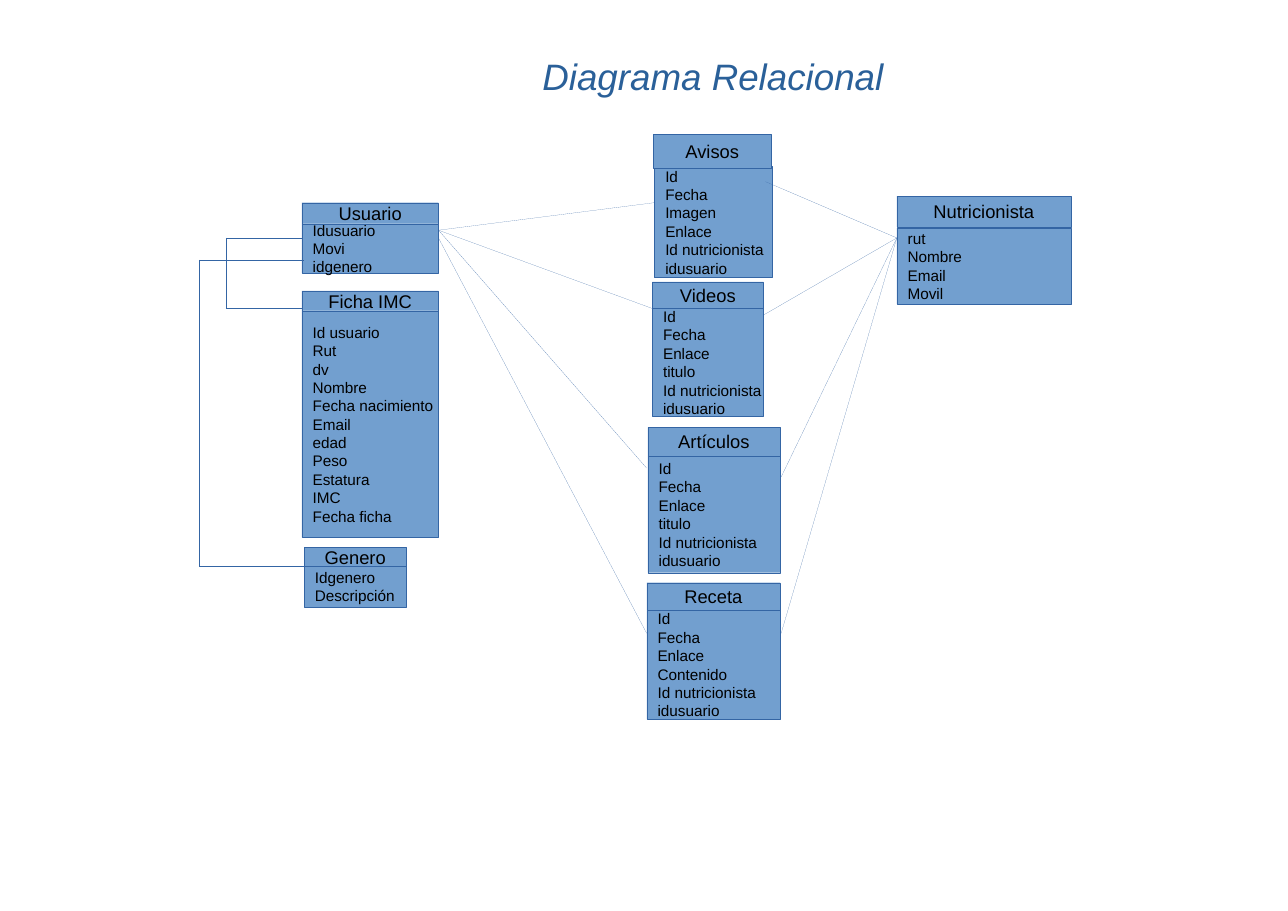
from dataclasses import dataclass
from itertools import pairwise

from lxml.etree import SubElement
from pptx import Presentation
from pptx.dml.color import RGBColor
from pptx.enum.shapes import MSO_CONNECTOR, MSO_SHAPE
from pptx.enum.text import MSO_ANCHOR, MSO_AUTO_SIZE, PP_ALIGN
from pptx.oxml.ns import qn
from pptx.util import Inches, Pt


@dataclass(frozen=True)
class Theme:
    font: str = "Arial"
    title_color: RGBColor = RGBColor(0x2A, 0x60, 0x99)
    text_color: RGBColor = RGBColor(0, 0, 0)
    fill_color: RGBColor = RGBColor(0x72, 0x9F, 0xCF)
    line_color: RGBColor = RGBColor(0x34, 0x65, 0xA4)
    line_width: Pt = Pt(0.05)
    title_size: Pt = Pt(24)
    header_size: Pt = Pt(12)
    field_size: Pt = Pt(10)


@dataclass(frozen=True)
class Entity:
    name: str
    left: float
    top: float
    width: float
    header_height: float
    body_height: float
    fields: tuple
    body_shift: tuple = (0, 0)


THEME = Theme()

ENTITIES = (
    Entity("Genero", 2.76, 4.97, 0.93, 0.17, 0.37, ("Idgenero", "Descripción")),
    Entity("Ficha IMC", 2.74, 2.64, 1.24, 0.18, 2.06,
           ("Id usuario", "Rut", "dv", "Nombre", "Fecha nacimiento", "Email",
            "edad", "Peso", "Estatura", "IMC", "Fecha ficha")),
    Entity("Nutricionista", 8.14, 1.78, 1.58, 0.28, 0.69,
           ("rut", "Nombre", "Email", "Movil"), (0, 0.01)),
    Entity("Usuario", 2.74, 1.84, 1.24, 0.19, 0.45,
           ("Idusuario", "Movi", "idgenero")),
    Entity("Avisos", 5.93, 1.22, 1.07, 0.31, 1.01,
           ("Id", "Fecha", "Imagen", "Enlace", "Id nutricionista", "idusuario"),
           (0.01, -0.02)),
    Entity("Videos", 5.92, 2.56, 1.01, 0.24, 0.98,
           ("Id", "Fecha", "Enlace", "titulo", "Id nutricionista", "idusuario")),
    Entity("Artículos", 5.88, 3.88, 1.2, 0.26, 1.06,
           ("Id", "Fecha", "Enlace", "titulo", "Id nutricionista", "idusuario")),
    Entity("Receta", 5.87, 5.29, 1.21, 0.25, 0.99,
           ("Id", "Fecha", "Enlace", "Contenido", "Id nutricionista", "idusuario")),
)

NUTRICIONISTA_POINT = (8.14, 2.16)
USUARIO_POINT = (3.98, 2.09)

RELATIONS = (
    ((2.76, 2.36), (1.81, 2.36), (1.81, 5.14), (2.76, 5.14)),
    (NUTRICIONISTA_POINT, (6.93, 2.86)),
    (NUTRICIONISTA_POINT, (6.95, 1.65)),
    (NUTRICIONISTA_POINT, (7.09, 4.33)),
    (NUTRICIONISTA_POINT, (7.09, 5.75)),
    ((2.74, 2.16), (2.05, 2.16), (2.05, 2.8), (2.74, 2.8)),
    (USUARIO_POINT, (5.94, 1.84)),
    (USUARIO_POINT, (5.92, 2.8)),
    (USUARIO_POINT, (5.87, 4.25)),
    ((3.98, 2.16), (5.87, 5.75)),
)


def write_text(shape, lines, *, size, color=THEME.text_color,
               align=PP_ALIGN.LEFT, italic=False, margins=(0.1, 0.05), wrap=False):
    frame = shape.text_frame
    frame.word_wrap = wrap
    frame.vertical_anchor = MSO_ANCHOR.MIDDLE
    frame.margin_left = frame.margin_right = Inches(margins[0])
    frame.margin_top = frame.margin_bottom = Inches(margins[1])
    frame.text = "\n".join(lines)
    for paragraph in frame.paragraphs:
        paragraph.alignment = align
        for run in paragraph.runs:
            run.font.name = THEME.font
            run.font.size = size
            run.font.italic = italic
            run.font.color.rgb = color


def style_line(line):
    line.color.rgb = THEME.line_color
    line.width = THEME.line_width


def add_title(slide, text):
    title = slide.shapes.title
    title.left, title.top = Inches(3.88), Inches(0.49)
    title.width, title.height = Inches(5.18), Inches(0.39)
    write_text(title, [text], size=THEME.title_size, color=THEME.title_color,
               align=PP_ALIGN.CENTER, italic=True, margins=(0, 0), wrap=True)
    title.text_frame.auto_size = MSO_AUTO_SIZE.SHAPE_TO_FIT_TEXT


def add_box(slide, left, top, width, height, lines, **text_format):
    shape = slide.shapes.add_shape(MSO_SHAPE.RECTANGLE, Inches(left), Inches(top),
                                   Inches(width), Inches(height))
    shape.shadow.inherit = False
    shape.fill.solid()
    shape.fill.fore_color.rgb = THEME.fill_color
    style_line(shape.line)
    write_text(shape, lines, **text_format)


def add_entity(slide, entity):
    shift_x, shift_y = entity.body_shift
    add_box(slide, entity.left + shift_x,
            entity.top + entity.header_height + shift_y,
            entity.width, entity.body_height, entity.fields, size=THEME.field_size)
    add_box(slide, entity.left, entity.top, entity.width,
            entity.header_height, [entity.name],
            size=THEME.header_size, align=PP_ALIGN.CENTER)


def add_relation(slide, points):
    for start, end in pairwise(points):
        connector = slide.shapes.add_connector(
            MSO_CONNECTOR.STRAIGHT, *(Inches(value) for value in start + end))
        style_line(connector.line)
        SubElement(connector.element.spPr, qn("a:effectLst"))


def main():
    presentation = Presentation()
    presentation.slide_width = Inches(11.69)
    presentation.slide_height = Inches(8.27)
    slide = presentation.slides.add_slide(presentation.slide_layouts[5])
    add_title(slide, "Diagrama Relacional")
    for entity in ENTITIES:
        add_entity(slide, entity)
    for points in RELATIONS:
        add_relation(slide, points)
    presentation.save("out.pptx")


if __name__ == "__main__":
    main()
